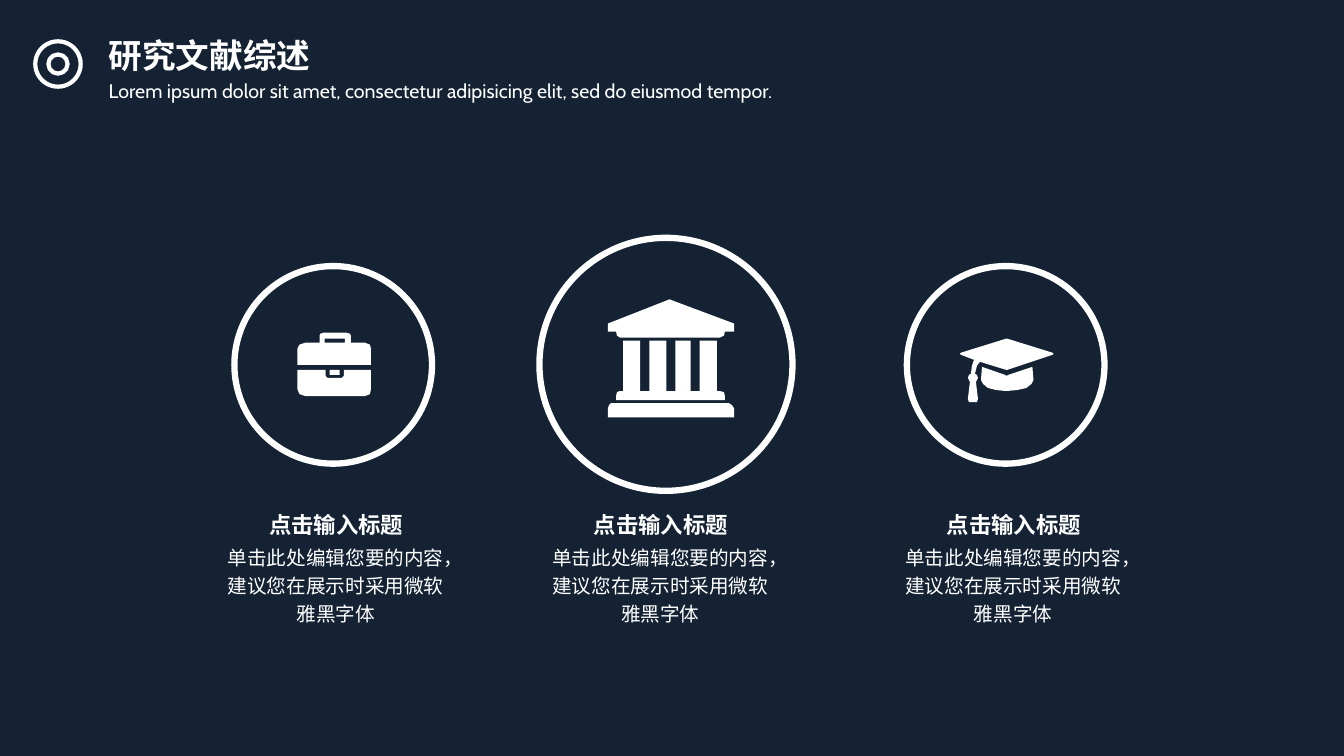
from pptx import Presentation
from pptx.dml.color import RGBColor
from pptx.enum.shapes import MSO_SHAPE
from pptx.enum.text import PP_ALIGN
from pptx.util import Inches, Pt

WHITE = "FFFFFF"
NAVY = "142233"


def color(fmt, value):
    fmt.solid()
    fmt.fore_color.rgb = RGBColor.from_string(value)


def add_text(x, y, w, h, text, size, bold=False, align=PP_ALIGN.LEFT, wrap=True, before=0):
    tf = s.shapes.add_textbox(Inches(x), Inches(y), Inches(w), Inches(h)).text_frame
    tf.word_wrap = wrap
    p = tf.paragraphs[0]
    p.alignment = align
    p.line_spacing = 1.2
    p.space_before = Pt(before)
    r = p.add_run()
    r.text = text
    r.font.name = "Cabin"
    r.font.size = Pt(size)
    r.font.bold = bold
    color(r.font.fill, WHITE)


prs = Presentation()
prs.slide_width = Inches(13.33)
prs.slide_height = Inches(7.5)
s = prs.slides.add_slide(prs.slide_layouts[6])
color(s.background.fill, NAVY)

circles = [
    (6.605, 3.615, 2.51, 4.5),
    (3.305, 3.62, 1.96, 4.5),
    (9.975, 3.62, 1.96, 4.5),
    (0.575, 0.635, 0.45, 3),
    (0.575, 0.635, 0.19, 3),
]
for cx, cy, d, weight in circles:
    sp = s.shapes.add_shape(
        MSO_SHAPE.OVAL, Inches(cx - d / 2), Inches(cy - d / 2), Inches(d), Inches(d))
    sp.shadow.inherit = False
    sp.fill.background()
    color(sp.line.fill, WHITE)
    sp.line.width = Pt(weight)

bank = [
    [(728, 321), (728, 329), (719, 329), (718, 333), (714, 335), (615, 335),
     (612, 333), (611, 329), (603, 329), (603, 321), (664, 297)],
    [(728, 405), (728, 414), (603, 414), (603, 405), (604, 402), (606, 400),
     (723, 400), (726, 402)],
    [(615, 388), (714, 388), (718, 389), (719, 393), (719, 397), (611, 397),
     (611, 393), (612, 389)],
]
for left, right in [(618, 635), (644, 661), (670, 685), (694, 711)]:
    bank.append([(left, 338), (right, 338), (right, 388), (left, 388)])

briefcase = [
    [(368, 362), (295, 362), (295, 346), (297, 342), (303, 340), (317, 340),
     (317, 333), (318, 331), (321, 330), (343, 330), (347, 331), (348, 333),
     (348, 340), (362, 340), (367, 342), (368, 346)],
    [(368, 386), (367, 391), (362, 393), (303, 393), (297, 391), (295, 386),
     (295, 367), (323, 367), (323, 373), (325, 375), (339, 375), (341, 373),
     (341, 367), (368, 367)],
    [(342, 340), (342, 336), (322, 336), (322, 340)],
    [(337, 372), (327, 372), (327, 367), (337, 367)],
]
cap = [
    [(1045, 351), (1044, 352), (999, 367), (998, 367), (972, 359), (969, 363),
     (967, 371), (969, 372), (970, 375), (968, 379), (970, 396), (969, 399),
     (961, 399), (960, 396), (962, 379), (960, 375), (961, 372), (963, 371),
     (964, 363), (966, 357), (953, 352), (952, 351), (953, 350), (998, 336),
     (999, 336), (1044, 350)],
    [(1025, 377), (1023, 381), (1018, 385), (1009, 387), (998, 388), (988, 387),
     (980, 385), (975, 381), (973, 377), (974, 364), (997, 372), (998, 373),
     (1000, 372), (1024, 364)],
]
for outlines in (bank, briefcase, cap):
    fb = s.shapes.build_freeform(*outlines[0][0], scale=Inches(0.01))
    for points in outlines:
        fb.move_to(*points[0])
        fb.add_line_segments(points[1:], close=True)
    sp = fb.convert_to_shape()
    sp.shadow.inherit = False
    color(sp.fill, WHITE)
    sp.line.fill.background()

for x in (2.08, 5.3, 8.8):
    add_text(x + 0.25, 4.97, 2.01, 0.37, "点击输入标题", 16, True, PP_ALIGN.CENTER, False)
    add_text(x, 5.32, 2.5, 0.95, "单击此处编辑您要的内容，建议您在展示时采用微软雅黑字体",
             14, align=PP_ALIGN.CENTER)

add_text(0.98, 0.69, 7.85, 0.36,
         "Lorem ipsum dolor sit amet, consectetur adipisicing elit, sed do eiusmod tempor.",
         14, before=10)
add_text(0.98, 0.22, 2.9, 0.54, "研究文献综述", 24, True)

prs.save("out.pptx")
